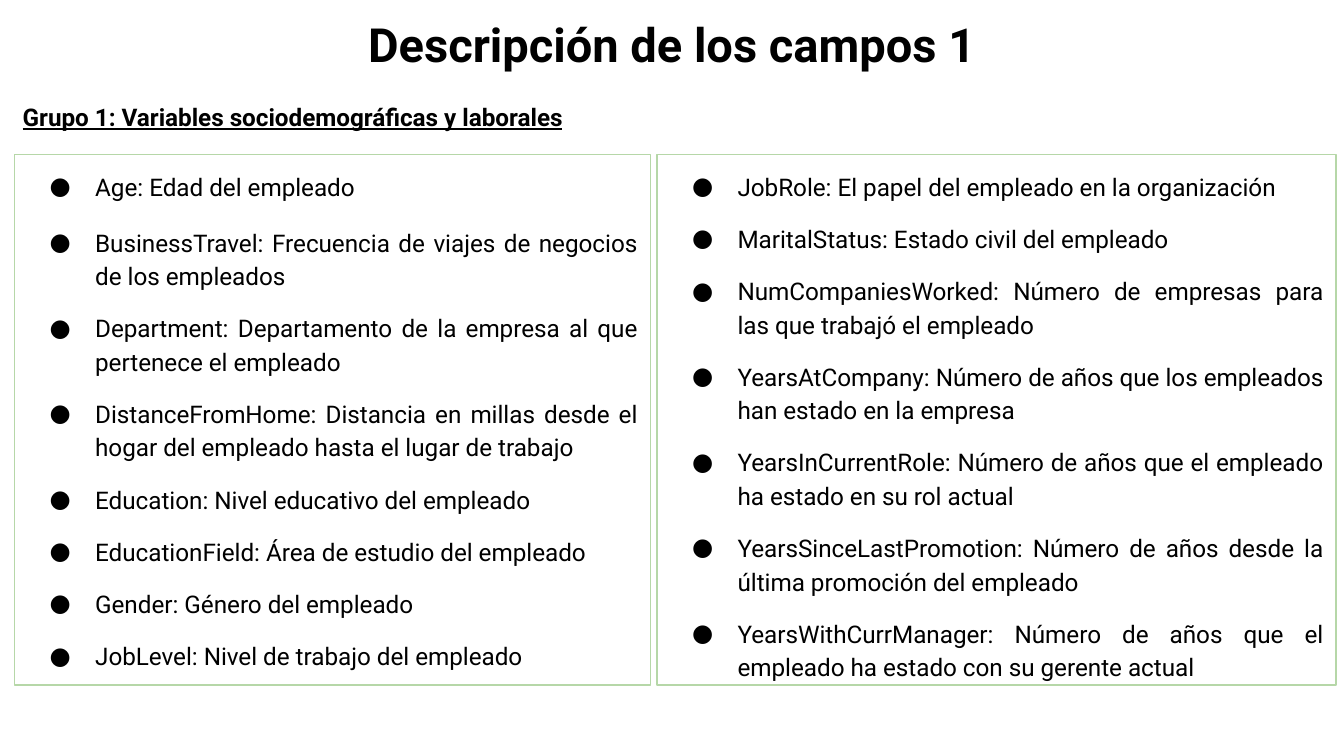
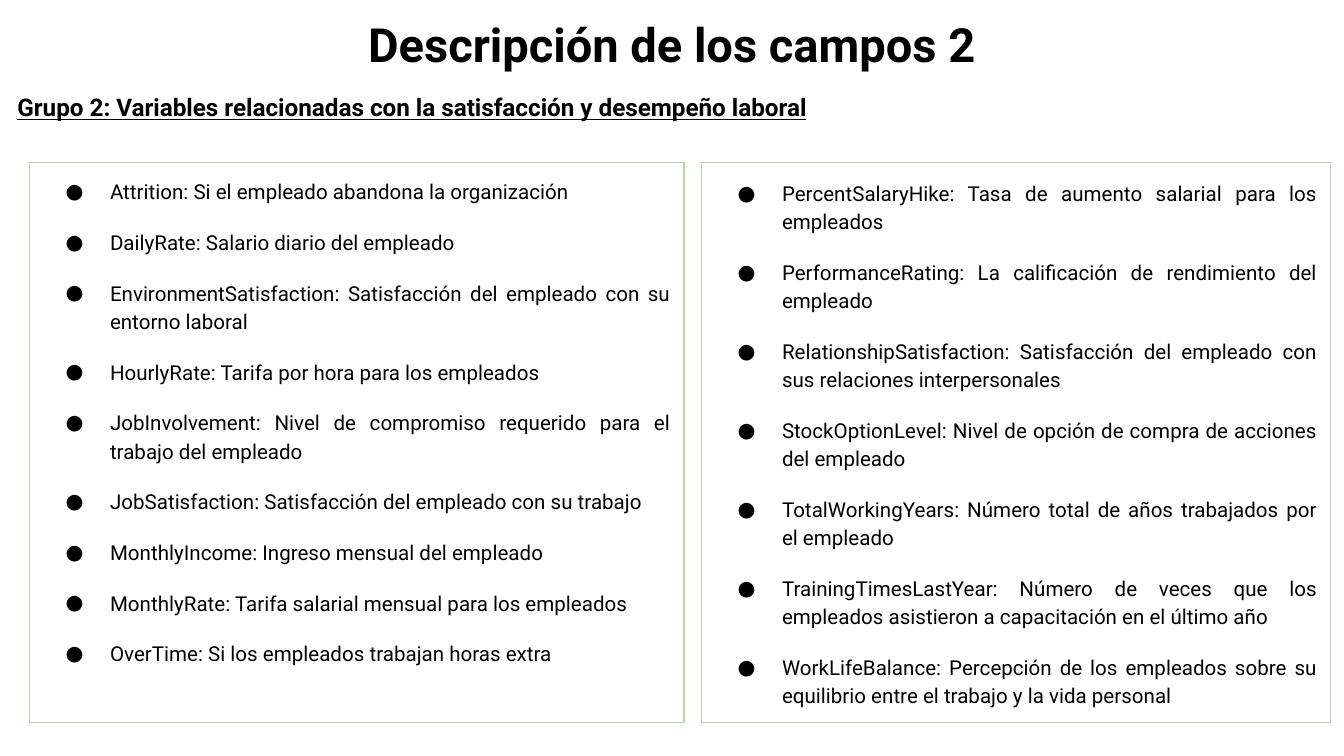
from dataclasses import dataclass, field

from lxml import etree
from pptx import Presentation
from pptx import util as u
from pptx.dml.color import RGBColor
from pptx.enum import text
from pptx.oxml.ns import qn

FONT = "Roboto"
BLACK = "000000"
GREEN = "B6D7A8"
TITLE_ONLY = 5
FIRST_GAP = 10
COLUMN_INDENT = 1.27


@dataclass
class FieldColumn:
    box: tuple
    items: list
    size: int
    hanging: float
    gap: int
    gap_exceptions: dict = field(default_factory=dict)
    space_after: int = 0
    anchor: text.MSO_ANCHOR = text.MSO_ANCHOR.TOP
    grow: bool = False


SOCIODEMOGRAPHIC_LEFT = [
    "Age: Edad del empleado",
    "BusinessTravel: Frecuencia de viajes de negocios de los empleados",
    "Department: Departamento de la empresa al que pertenece el empleado",
    "DistanceFromHome: Distancia en millas desde el hogar del empleado hasta el lugar de trabajo",
    "Education: Nivel educativo del empleado",
    "EducationField: Área de estudio del empleado",
    "Gender: Género del empleado",
    "JobLevel: Nivel de trabajo del empleado",
]
SOCIODEMOGRAPHIC_RIGHT = [
    "JobRole: El papel del empleado en la organización",
    "MaritalStatus: Estado civil del empleado",
    "NumCompaniesWorked: Número de empresas para las que trabajó el empleado",
    "YearsAtCompany: Número de años que los empleados han estado en la empresa",
    "YearsInCurrentRole: Número de años que el empleado ha estado en su rol actual",
    "YearsSinceLastPromotion: Número de años desde la última promoción del empleado",
    "YearsWithCurrManager: Número de años que el empleado ha estado con su gerente actual",
]
SATISFACTION_LEFT = [
    "Attrition: Si el empleado abandona la organización",
    "DailyRate: Salario diario del empleado",
    "EnvironmentSatisfaction: Satisfacción del empleado con su entorno laboral",
    "HourlyRate: Tarifa por hora para los empleados",
    "JobInvolvement: Nivel de compromiso requerido para el trabajo del empleado",
    "JobSatisfaction: Satisfacción del empleado con su trabajo",
    "MonthlyIncome: Ingreso mensual del empleado",
    "MonthlyRate: Tarifa salarial mensual para los empleados",
    "OverTime: Si los empleados trabajan horas extra",
]
SATISFACTION_RIGHT = [
    "PercentSalaryHike: Tasa de aumento salarial para los empleados",
    "PerformanceRating: La calificación de rendimiento del empleado",
    "RelationshipSatisfaction: Satisfacción del empleado con sus relaciones interpersonales",
    "StockOptionLevel: Nivel de opción de compra de acciones del empleado",
    "TotalWorkingYears: Número total de años trabajados por el empleado",
    "TrainingTimesLastYear: Número de veces que los empleados asistieron a capacitación en el último año",
    "WorkLifeBalance: Percepción de los empleados sobre su equilibrio entre el trabajo y la vida personal",
]


def color(hex_value):
    return RGBColor.from_string(hex_value)


def set_frame(shape, anchor=text.MSO_ANCHOR.TOP, grow=False):
    """Give the text frame its margins, wrapping and anchor."""
    frame = shape.text_frame
    frame.word_wrap = True
    frame.vertical_anchor = anchor
    frame.auto_size = text.MSO_AUTO_SIZE.SHAPE_TO_FIT_TEXT if grow else text.MSO_AUTO_SIZE.NONE
    frame.margin_left = frame.margin_right = u.Cm(0.25)
    frame.margin_top = frame.margin_bottom = u.Cm(0.25)
    return frame


def add_run(paragraph, words, size, bold=False, underline=False):
    run = paragraph.add_run()
    run.text = words
    font = run.font
    font.name, font.size = FONT, u.Pt(size)
    font.bold, font.underline = bold, underline
    font.color.rgb = color(BLACK)


def justify(paragraph, before=0, after=0):
    paragraph.alignment = text.PP_ALIGN.JUSTIFY
    paragraph.line_spacing = 1.15
    paragraph.space_before = u.Pt(before)
    paragraph.space_after = u.Pt(after)


def add_bullet(paragraph, hanging):
    properties = paragraph._p.get_or_add_pPr()
    properties.set("marL", str(u.Cm(COLUMN_INDENT)))
    properties.set("indent", str(-u.Cm(hanging)))
    bullet_color = etree.SubElement(properties, qn("a:buClr"))
    etree.SubElement(bullet_color, qn("a:srgbClr"), val=BLACK)
    etree.SubElement(properties, qn("a:buFont"), typeface=FONT)
    etree.SubElement(properties, qn("a:buChar"), char="●")


def set_title(slide, words):
    title = slide.shapes.title
    title.left, title.top = u.Cm(6.15), u.Cm(0.2)
    title.width, title.height = u.Cm(13.1), u.Cm(1.24)
    paragraph = set_frame(title, text.MSO_ANCHOR.MIDDLE).paragraphs[0]
    paragraph.alignment = text.PP_ALIGN.CENTER
    add_run(paragraph, words, 25.2, bold=True)


def add_group_heading(slide, words, box, after=0, grow=False):
    heading = slide.shapes.add_textbox(*map(u.Cm, box))
    paragraph = set_frame(heading, grow=grow).paragraphs[0]
    justify(paragraph, after=after)
    add_run(paragraph, words, 13, bold=True, underline=True)


def add_field_column(slide, column):
    shape = slide.shapes.add_textbox(*map(u.Cm, column.box))
    shape.line.color.rgb = color(GREEN)
    shape.line.width = u.Pt(0.75)
    frame = set_frame(shape, column.anchor, column.grow)
    last = len(column.items) - 1
    for index, item in enumerate(column.items):
        paragraph = frame.add_paragraph() if index else frame.paragraphs[0]
        gap = column.gap_exceptions.get(index, column.gap) if index else FIRST_GAP
        justify(paragraph, gap, column.space_after if index == last else 0)
        add_bullet(paragraph, column.hanging)
        add_run(paragraph, item, column.size)


def add_field_slide(presentation, title, columns):
    slide = presentation.slides.add_slide(presentation.slide_layouts[TITLE_ONLY])
    set_title(slide, title)
    for column in columns:
        add_field_column(slide, column)
    return slide


def main():
    presentation = Presentation()
    presentation.slide_width, presentation.slide_height = u.Cm(25.4), u.Cm(14.29)

    large = dict(size=13, hanging=0.86, gap=10)
    slide = add_field_slide(presentation, "Descripción de los campos 1", [
        FieldColumn((0.28, 2.92, 12.01, 10.03), SOCIODEMOGRAPHIC_LEFT,
                    gap_exceptions={1: 12}, grow=True, **large),
        FieldColumn((12.42, 2.92, 12.83, 10.03), SOCIODEMOGRAPHIC_RIGHT, **large),
    ])
    add_group_heading(slide, "Grupo 1: Variables sociodemográficas y laborales",
                      (0.18, 1.6, 11.61, 1.07), after=12, grow=True)

    small = dict(size=11, hanging=0.84, gap=12, space_after=12)
    slide = add_field_slide(presentation, "Descripción de los campos 2", [
        FieldColumn((0.56, 3.07, 12.37, 10.59), SATISFACTION_LEFT, **small),
        FieldColumn((13.26, 3.07, 11.89, 10.59), SATISFACTION_RIGHT,
                    anchor=text.MSO_ANCHOR.MIDDLE, grow=True, **small),
    ])
    add_group_heading(slide,
                      "Grupo 2: Variables relacionadas con la satisfacción y desempeño laboral",
                      (0.08, 1.42, 15.57, 0.91))

    presentation.save("out.pptx")


if __name__ == "__main__":
    main()
